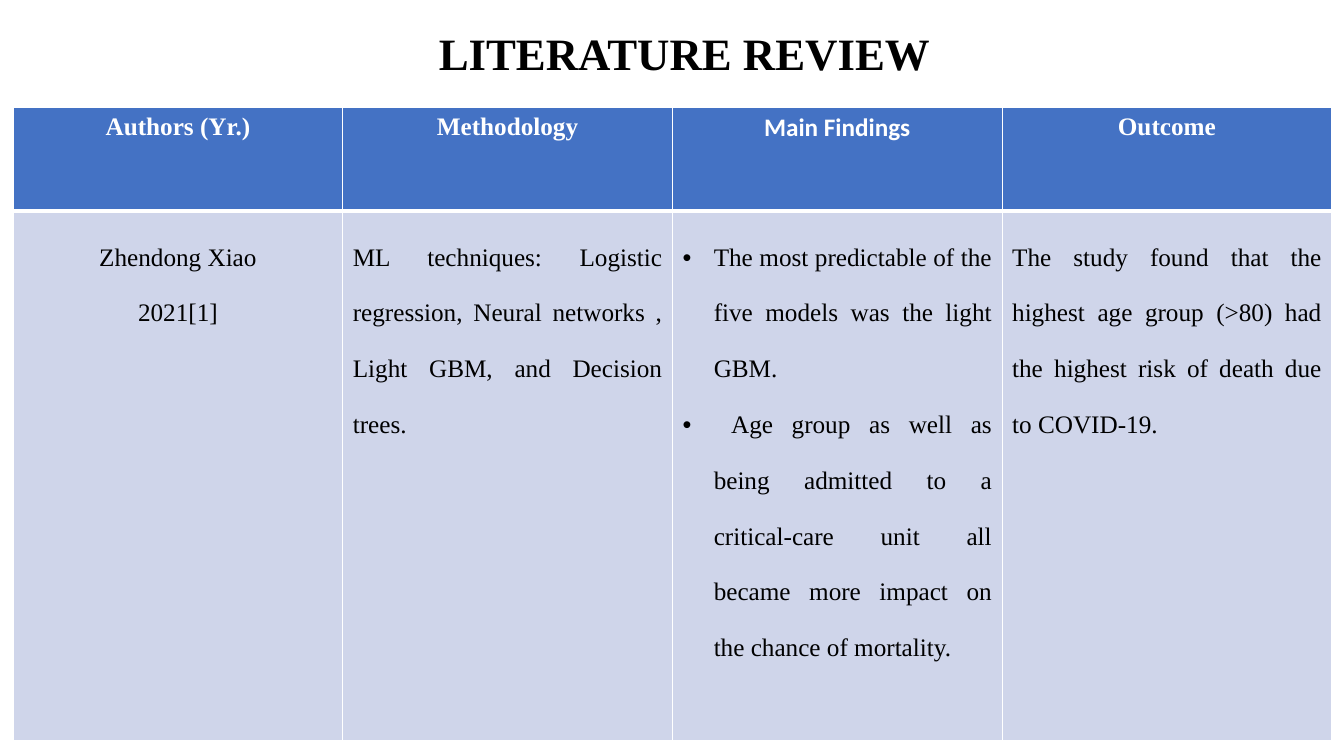
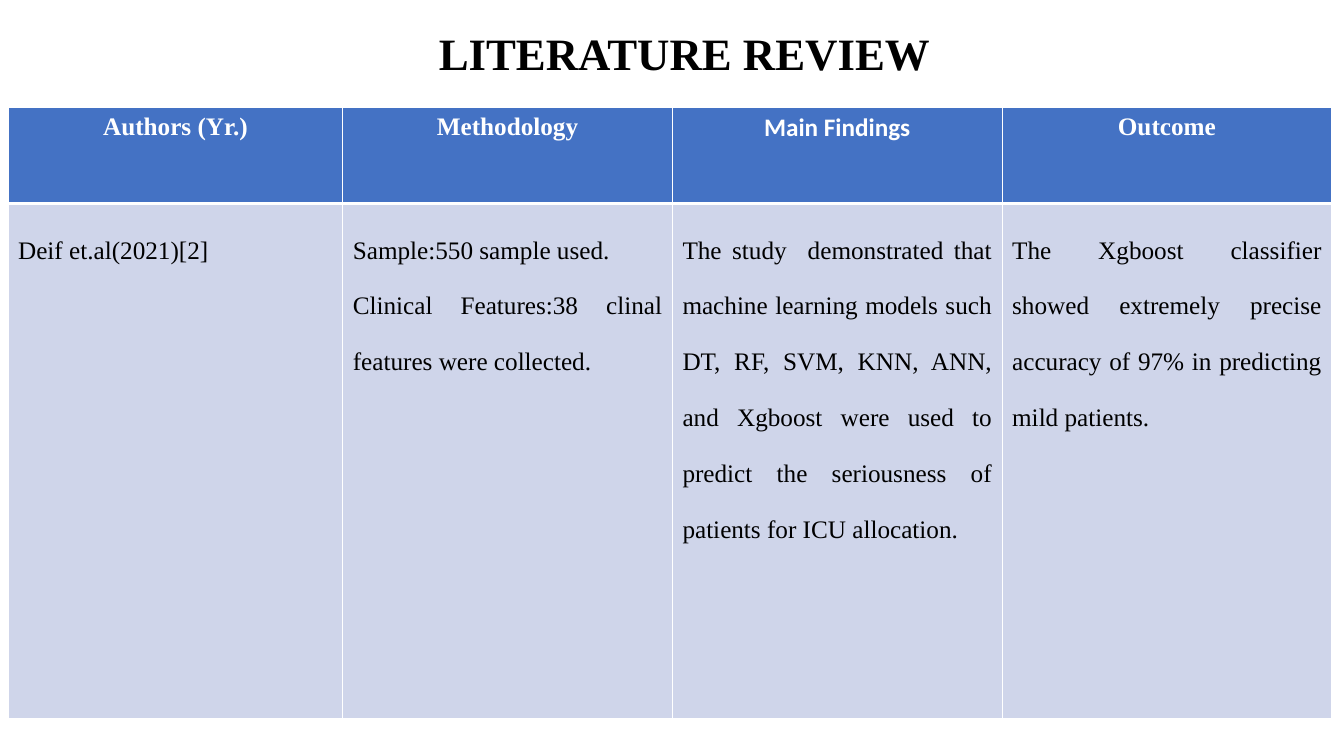
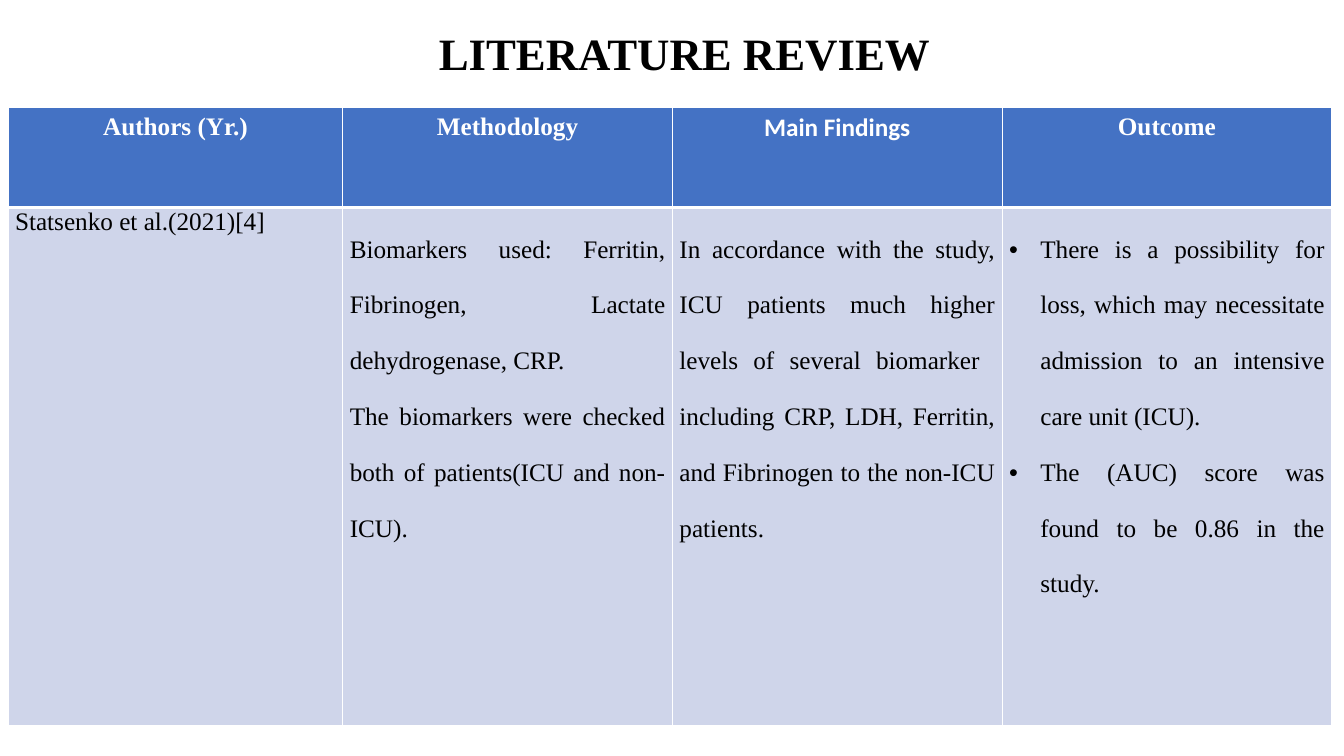
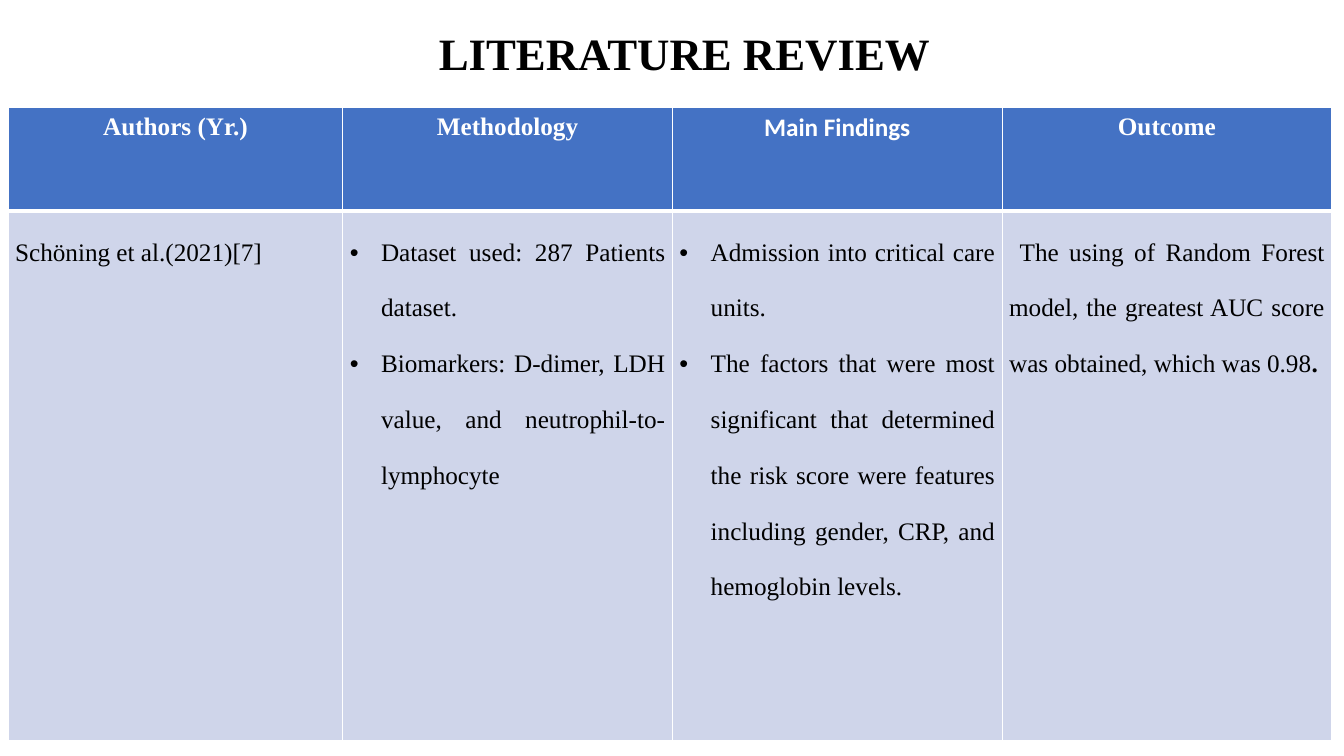
from pptx import Presentation
from pptx.dml.color import RGBColor
from pptx.enum.text import MSO_ANCHOR, MSO_AUTO_SIZE, PP_ALIGN
from pptx.oxml.ns import qn
from pptx.util import Inches, Pt
from lxml.etree import SubElement

WHITE = RGBColor(0xFF, 0xFF, 0xFF)
BLACK = RGBColor(0x00, 0x00, 0x00)
BLUE = RGBColor(0x44, 0x72, 0xC4)
PALE_BLUE = RGBColor(0xCF, 0xD5, 0xEA)

SERIF = "Times New Roman"
SANS = "Calibri"
HEADERS = [("Authors (Yr.)", SERIF), ("Methodology", SERIF),
           ("Main Findings", SANS), ("Outcome", SERIF)]
TABLE_TOP = 1.07
TABLE_RIGHT = 13.21
COLUMN_WIDTH = 3.27
BULLET_INDENT = 0.31


def add_run(p, text, size, color, bold=False, font=SERIF):
    """Add one formatted run to a paragraph."""
    r = p.add_run()
    r.text = text
    r.font.name = font
    r.font.size = Pt(size)
    r.font.bold = bold
    r.font.color.rgb = color


def add_bullet(p):
    """Give a paragraph a round bullet with a hanging indent."""
    pPr = p._p.get_or_add_pPr()
    pPr.set("marL", str(Inches(BULLET_INDENT)))
    pPr.set("indent", str(-Inches(BULLET_INDENT)))
    SubElement(pPr, qn("a:buFont"), typeface="Arial")
    SubElement(pPr, qn("a:buChar"), char="•")


def style_cell(cell, color, top, bottom):
    """Draw white borders around a cell and fill it."""
    tcPr = cell._tc.get_or_add_tcPr()
    for side, width in (("L", 1), ("R", 1), ("T", top), ("B", bottom)):
        ln = SubElement(tcPr, qn(f"a:ln{side}"), w=str(Pt(width)))
        fill = SubElement(ln, qn("a:solidFill"))
        SubElement(fill, qn("a:srgbClr"), val=str(WHITE))
    cell.fill.solid()
    cell.fill.fore_color.rgb = color


def fill_header(cell, text, font):
    """Write a column heading."""
    style_cell(cell, BLUE, 1, 3)
    p = cell.text_frame.paragraphs[0]
    p.alignment = PP_ALIGN.CENTER
    add_run(p, text, 18, WHITE, True, font)


def fill_body(cell, paragraphs, align=PP_ALIGN.JUSTIFY, spacing=2,
              bullets=False, tight=False):
    """Write paragraphs, each a string or a list of (text, bold) runs."""
    style_cell(cell, PALE_BLUE, 3, 1)
    if tight:
        cell.margin_left = cell.margin_right = Inches(0.07)
        cell.margin_top = cell.margin_bottom = Inches(0)
    tf = cell.text_frame
    for i, runs in enumerate(paragraphs):
        p = tf.add_paragraph() if i else tf.paragraphs[0]
        p.alignment = align
        p.line_spacing = spacing
        if bullets:
            add_bullet(p)
        for text, bold in [(runs, False)] if isinstance(runs, str) else runs:
            add_run(p, text, 18, BLACK, bold)


def add_title(s):
    """Write the shared title in the title placeholder."""
    title = s.shapes.title
    title.left, title.top = Inches(4.21), Inches(0.16)
    title.width, title.height = Inches(5.16), Inches(0.79)
    tf = title.text_frame
    tf.auto_size = MSO_AUTO_SIZE.NONE
    tf.vertical_anchor = MSO_ANCHOR.MIDDLE
    p = tf.paragraphs[0]
    p.alignment = PP_ALIGN.CENTER
    p.line_spacing = 0.9
    add_run(p, "LITERATURE REVIEW", 32, BLACK, True)


def add_review(prs, left, row_heights, cells, tight=False):
    """Add a slide reviewing one study, given one dict of options per cell."""
    s = prs.slides.add_slide(prs.slide_layouts[5])
    add_title(s)
    table = s.shapes.add_table(
        2, len(HEADERS), Inches(left), Inches(TABLE_TOP),
        Inches(TABLE_RIGHT - left), Inches(sum(row_heights))).table
    for row, height in zip(table.rows, row_heights):
        row.height = Inches(height)
    for col in table.columns:
        col.width = Inches(COLUMN_WIDTH)
    first_width = TABLE_RIGHT - left - COLUMN_WIDTH * (len(HEADERS) - 1)
    table.columns[0].width = Inches(first_width)
    for i, ((text, font), options) in enumerate(zip(HEADERS, cells)):
        fill_header(table.cell(0, i), text, font)
        fill_body(table.cell(1, i), tight=tight, **options)


def main():
    """Build the four literature review slides."""
    prs = Presentation()
    prs.slide_width, prs.slide_height = Inches(13.33), Inches(7.5)

    add_review(prs, 0.13, (1.02, 5.26), [
        dict(paragraphs=["Zhendong Xiao", "2021[1]"], align=PP_ALIGN.CENTER),
        dict(paragraphs=["ML techniques: Logistic regression, Neural networks , "
                         "Light GBM, and Decision trees."]),
        dict(paragraphs=["The most predictable of the five models was the light GBM.",
                         " Age group as well as being admitted to a critical-care unit "
                         "all became more impact on the chance of mortality."],
             bullets=True),
        dict(paragraphs=["The study found that the highest age group (>80) had the "
                         "highest risk of death due to COVID-19."]),
    ])

    add_review(prs, 0.08, (0.95, 5.11), [
        dict(paragraphs=["Deif et.al(2021)[2]"]),
        dict(paragraphs=["Sample:550 sample used.",
                         "Clinical Features:38 clinal features were collected."]),
        dict(paragraphs=["The study  demonstrated that machine learning models such DT, "
                         "RF, SVM, KNN, ANN, and Xgboost were used to predict the "
                         "seriousness of patients for ICU allocation."]),
        dict(paragraphs=["The Xgboost classifier showed extremely precise accuracy of "
                         "97% in predicting mild patients."]),
    ])

    add_review(prs, 0.08, (0.99, 5.14), [
        dict(paragraphs=["Statsenko et al.(2021)[4]"], spacing=1),
        dict(paragraphs=["Biomarkers used: Ferritin, Fibrinogen, Lactate "
                         "dehydrogenase, CRP.",
                         "The biomarkers were checked both of patients(ICU and "
                         "non-ICU)."]),
        dict(paragraphs=["In accordance with the study, ICU patients much higher levels "
                         "of several biomarker  including CRP, LDH, Ferritin, and "
                         "Fibrinogen to the non-ICU patients."]),
        dict(paragraphs=["There is a possibility for loss, which may necessitate "
                         "admission to an intensive care unit (ICU).",
                         "The (AUC) score was found to be 0.86 in the study."],
             bullets=True),
    ], tight=True)

    add_review(prs, 0.08, (1.02, 5.26), [
        dict(paragraphs=["Schöning et al.(2021)[7]"]),
        dict(paragraphs=["Dataset used: 287 Patients dataset.",
                         "Biomarkers: D-dimer, LDH value, and "
                         "neutrophil-to-lymphocyte"], bullets=True),
        dict(paragraphs=["Admission into critical care units.",
                         "The factors that were most significant that determined the "
                         "risk score were features including gender, CRP, and "
                         "hemoglobin levels."], bullets=True),
        dict(paragraphs=[[(" ", True),
                          ("The using of Random Forest model, the greatest AUC score "
                           "was obtained, which was 0.98", False),
                          (".", True)]]),
    ], tight=True)

    prs.save("out.pptx")


if __name__ == "__main__":
    main()
